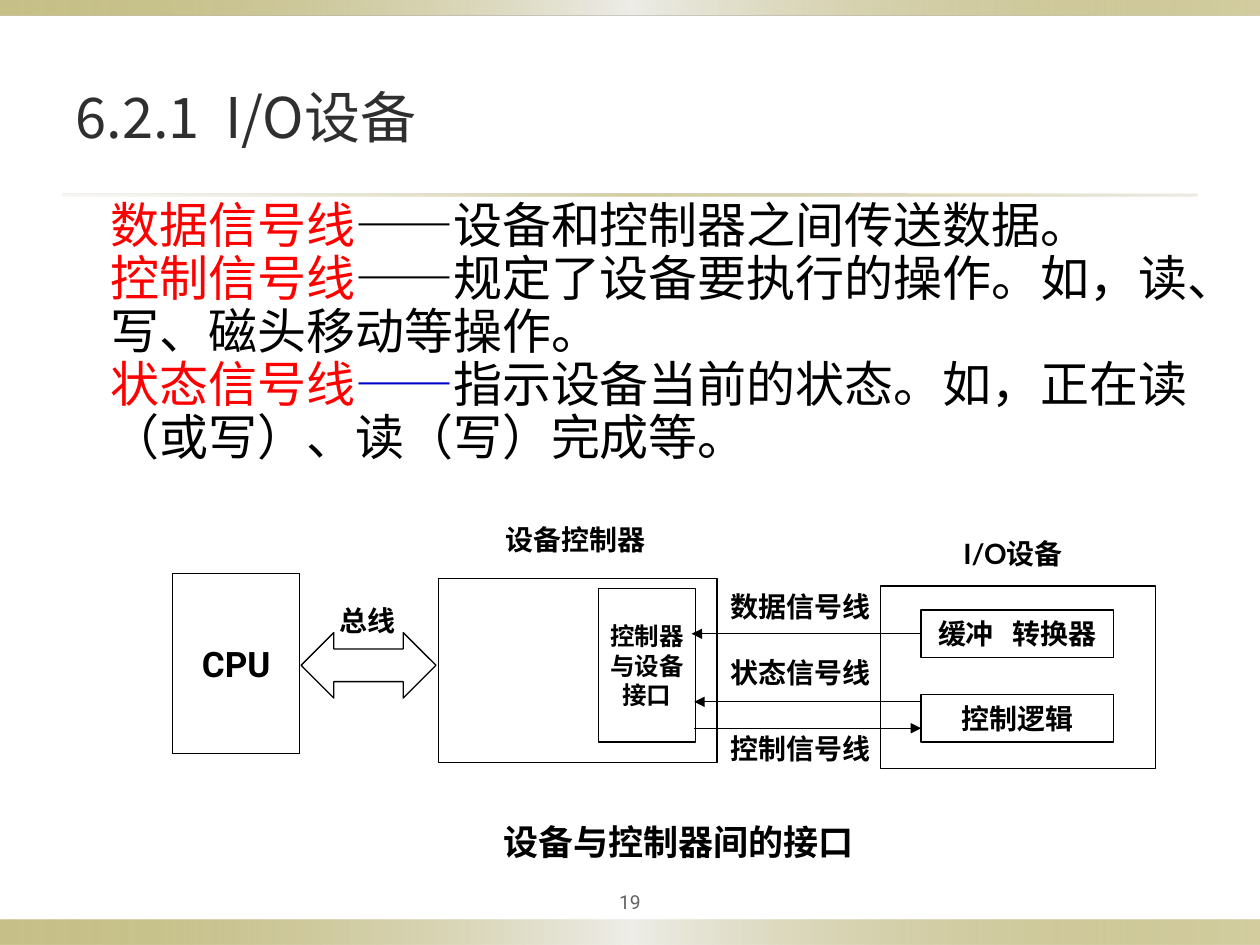
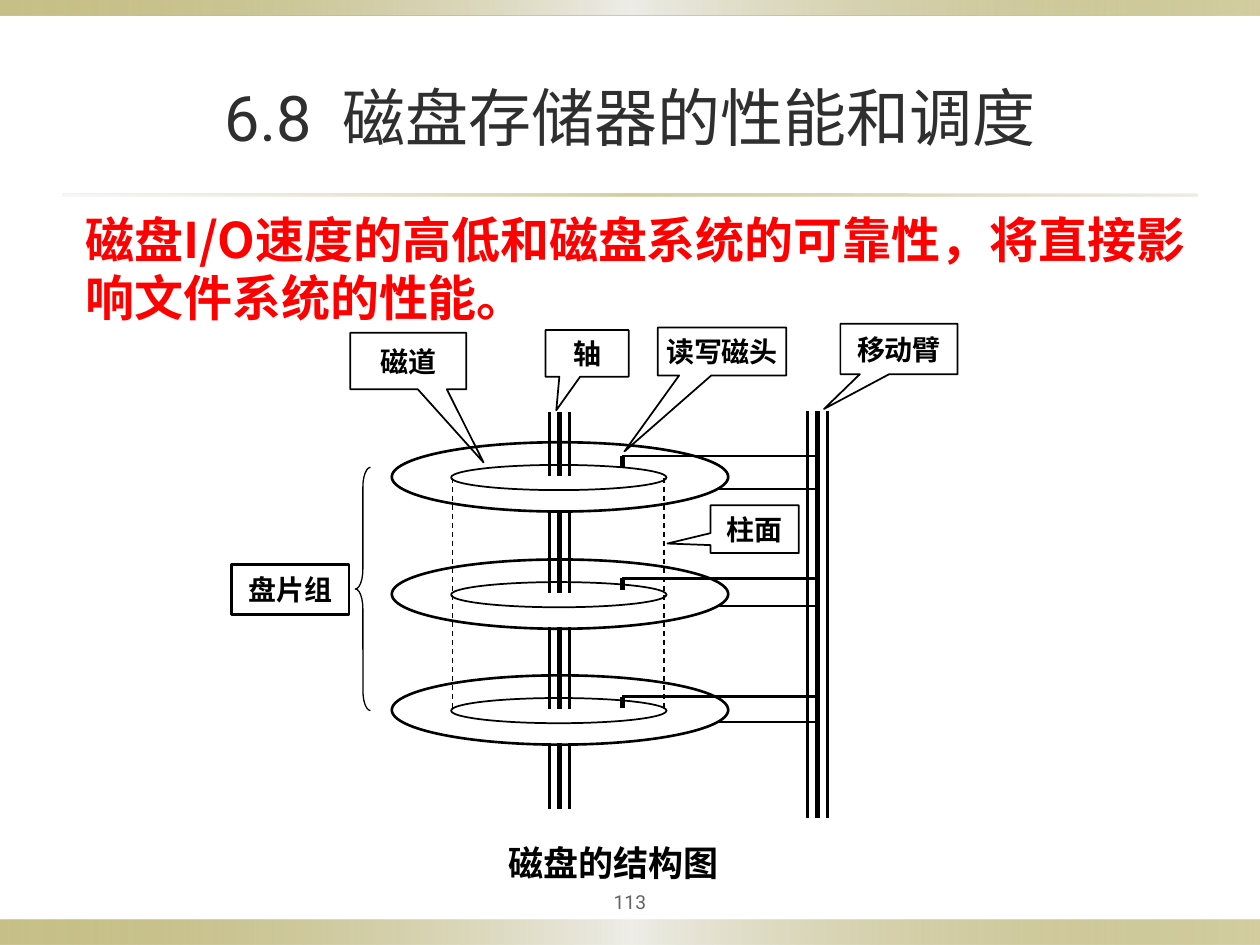
from lxml.etree import SubElement
from pptx import Presentation
from pptx.dml.color import RGBColor
from pptx.enum.dml import MSO_LINE as Dash
from pptx.enum.shapes import MSO_CONNECTOR as Link, MSO_SHAPE as Kind
from pptx.enum.text import MSO_ANCHOR as Anchor, PP_ALIGN as Align
from pptx.oxml import parse_xml
from pptx.oxml.ns import nsdecls, qn
from pptx.util import Pt

PX = 9144  # 100 px to the inch
BLACK = RGBColor(0x00, 0x00, 0x00)
WHITE = RGBColor(0xFF, 0xFF, 0xFF)
RED = RGBColor(0xFF, 0x00, 0x00)
BLUE = RGBColor(0x00, 0x00, 0xCC)
INK = RGBColor(0x2F, 0x2F, 0x2F)
GRAY = RGBColor(0x63, 0x63, 0x63)
GOLD = RGBColor(0x91, 0x84, 0x15)
PALE = RGBColor(0xEE, 0xED, 0xE8)
SAND = RGBColor(0xDC, 0xD9, 0xCC)
HAN, SANS, LABEL, SERIF = "Noto Sans CJK SC", "Roboto", "Lato", "Times New Roman"
BAND = ((0, GOLD, 50), (50, PALE, 100), (100, GOLD, 40))
RULE = ((0, SAND, 20), (50, GOLD, 40), (100, SAND, 50))


def emu(*sizes):
    return [round(size * PX) for size in sizes]


def set_han(props):
    """Give text properties the East Asian typeface."""
    SubElement(props, qn("a:ea")).set("typeface", HAN)


def style(para, size, face=SANS, color=BLACK, bold=False, align=Align.CENTER):
    para.alignment = align
    font = para.font
    font.size, font.name, font.bold = Pt(size), face, bold
    font.color.rgb = color
    set_han(para._p.get_or_add_pPr().find(qn("a:defRPr")))


def inset(frame, side, top):
    frame.margin_left = frame.margin_right = side * PX
    frame.margin_top = frame.margin_bottom = top * PX


class Pane:
    """A region of a slide; its parts are placed from its top left corner."""

    def __init__(self, slide, box):
        self.shapes = slide.shapes
        self.left, self.top, self.width, self.height = box

    def spot(self, x, y):
        return emu(self.left + x, self.top + y)

    def shape(self, box, text="", size=16, kind=Kind.RECTANGLE, adj=(),
              line=0.75, fill=None):
        x, y, w, h = box
        item = self.shapes.add_shape(kind, *self.spot(x, y), *emu(w, h))
        item.shadow.inherit = False
        for i, value in enumerate(adj):
            item.adjustments[i] = value
        if fill is None:
            item.fill.background()
        else:
            item.fill.solid()
            item.fill.fore_color.rgb = fill
        item.line.color.rgb, item.line.width = BLACK, Pt(line)
        if text:
            frame = item.text_frame
            inset(frame, 2, 1)
            frame.vertical_anchor = Anchor.MIDDLE
            frame.text = text
            style(frame.paragraphs[0], size, bold=True)
        return item

    def frame(self, box):
        x, y, w, h = box
        frame = self.shapes.add_textbox(*self.spot(x, y), *emu(w, h)).text_frame
        frame.word_wrap = True
        return frame

    def label(self, box, text, size=16):
        frame = self.frame(box)
        inset(frame, 2, 1)
        frame.text = text
        style(frame.paragraphs[0], size, LABEL, bold=True)

    def line(self, x1, y1, x2, y2, width=0.75, dash=None, arrow=False):
        item = self.shapes.add_connector(
            Link.STRAIGHT, *self.spot(x1, y1), *self.spot(x2, y2))
        item.line.color.rgb, item.line.width = BLACK, Pt(width)
        if dash:
            item.line.dash_style = dash
        if arrow:
            SubElement(item.line._get_or_add_ln(), qn("a:tailEnd")).set("type", "triangle")
        SubElement(item._element.spPr, qn("a:effectLst"))
        return item


def add_bands(layout, slide):
    """Draw the gradient bands and move them to the layout."""
    pane = Pane(slide, (0, 0, 1000, 750))
    bands = (((0, 730, 1000, 20), BAND), ((0, 0, 1000, 12), BAND),
             ((50, 154, 900, 2), RULE))
    for box, stops in bands:
        item = pane.shape(box)
        item.line.fill.background()
        marks = "".join(
            f'<a:gs pos="{at * 1000}"><a:srgbClr val="{color}">'
            f'<a:alpha val="{alpha * 1000}"/></a:srgbClr></a:gs>'
            for at, color, alpha in stops)
        grad = parse_xml(f'<a:gradFill {nsdecls("a")}><a:gsLst>{marks}</a:gsLst>'
                         '<a:lin ang="0" scaled="0"/></a:gradFill>')
        props = item._element.spPr
        props.replace(props.find(qn("a:noFill")), grad)
        layout.shapes._spTree.append(item._element)


def add_title(slide, text, size, face, align):
    title = slide.shapes.title
    title.left, title.top, title.width, title.height = emu(50, 30, 900, 125)
    title.text_frame.text = text
    title.text_frame.vertical_anchor = Anchor.MIDDLE
    style(title.text_frame.paragraphs[0], size, face, INK, align=align)


def add_number(slide, number):
    frame = Pane(slide, (450, 700, 100, 31)).frame((0, 0, 100, 31))
    inset(frame, 5, 5)
    frame.vertical_anchor = Anchor.MIDDLE
    frame.text = number
    style(frame.paragraphs[0], 11, color=GRAY)


def add_terms(slide, box):
    """List the three signal lines with what each is for."""
    terms = (
        ("数据信号线", BLACK, "设备和控制器之间传送数据。"),
        ("控制信号线", BLACK, "规定了设备要执行的操作。如，读、写、磁头移动等操作。"),
        ("状态信号线", BLUE, "指示设备当前的状态。如，正在读（或写）、读（写）完成等。"),
    )
    frame = Pane(slide, box).frame((0, 0, *box[2:]))
    for i, (term, tint, text) in enumerate(terms):
        para = frame.add_paragraph() if i else frame.paragraphs[0]
        style(para, 28, HAN, align=Align.LEFT)
        para.line_spacing = 0.9
        para._p.get_or_add_pPr().set("marL", str(50 * PX))
        parts = ((term, HAN, RED), ("——", SERIF, tint), (text, HAN, BLACK))
        for words, face, color in parts:
            run = para.add_run()
            run.text = words
            run.font.name, run.font.color.rgb = face, color
            set_han(run._r.get_or_add_rPr())


def add_lead(slide, box):
    frame = Pane(slide, box).frame((0, 0, *box[2:]))
    frame.text = "磁盘I/O速度的高低和磁盘系统的可靠性，将直接影响文件系统的性能。"
    style(frame.paragraphs[0], 28, HAN, RED, True, Align.LEFT)


def add_wiring(slide, box):
    """Draw the CPU, the controller and the device with their lines."""
    pane = Pane(slide, box)
    buffer = pane.shape((594, 70, 153, 38), "缓冲   转换器")
    pane.shape((594, 137, 153, 38), "控制逻辑")
    pane.shape((562, 51, 218, 145))
    pane.shape((338, 53, 77, 122), "控制器与设备接口", 14)
    pane.shape((211, 45, 221, 146))
    pane.shape((0, 41, 101, 143), "CPU", 20)
    pane.shape((102, 88, 107, 52), kind=Kind.LEFT_RIGHT_ARROW, adj=(0.5, 0.5))

    pane.line(594, 89, 412, 89, arrow=True).begin_connect(buffer, 1)
    pane.line(594, 143, 414, 143, arrow=True)
    pane.line(414, 164, 594, 164, arrow=True)

    for y, name in ((53, "数据信号线"), (105, "状态信号线"), (166, "控制信号线")):
        pane.label((432, y, 133, 37), name)
    pane.label((240, 0, 160, 37), "设备控制器")
    pane.label((578, 11, 178, 37), "I/O设备")
    pane.label((122, 64, 66, 37), "总线")
    pane.label((188, 236, 427, 46), "设备与控制器间的接口", 20)


def add_rod(pane, x, top, end):
    """Draw a thick core between two thin edges."""
    for shift, width in ((0, 1.5), (8, 3), (16, 1.5)):
        pane.line(x + shift, top, x + shift, end, width)


def add_disk(slide, box):
    """Draw the platters, spindle, heads and arm with their callouts."""
    pane = Pane(slide, box)
    tops, arms = (94, 187, 279), (105, 202, 296)
    add_rod(pane, 457, 69, 392)
    for top, arm in zip(tops, arms):
        pane.line(320, top + 37, 465, top + 37, 1.5)
        pane.shape((127, top, 267, 55), kind=Kind.OVAL, line=1.5, fill=WHITE)
        pane.shape((174, top + 18, 171, 20), kind=Kind.OVAL, line=1)
        pane.line(310, arm, 465, arm, 1.5)
        pane.line(310, arm, 310, arm + 9, 3)

    starts = [70] + [top + 54 for top in tops]
    ends = [top + 27 for top in tops] + [385]
    for start, end in zip(starts, ends):
        add_rod(pane, 252, start, end)
    for x in (175, 343):
        pane.line(x, 122, x, 307, dash=Dash.DASH)

    pane.shape((98, 114, 12, 193), kind=Kind.LEFT_BRACE, adj=(1.31, 0.5))
    pane.shape((0, 191, 93, 40), "盘片组", line=1.5)
    notes = (
        ("磁道", (94, 7, 92, 45), (0.65, 1.79)),
        ("轴", (249, 5, 66, 37), (-0.37, 1.22)),
        ("读写磁头", (338, 3, 102, 38), (-0.76, 2.09)),
        ("移动臂", (483, 0, 93, 40), (-0.64, 1.19)),
        ("柱面", (380, 144, 70, 38), (-0.99, 0.3)),
    )
    for name, place, tip in notes:
        pane.shape(place, name, kind=Kind.RECTANGULAR_CALLOUT, adj=tip, line=1)
    pane.label((164, 410, 278, 36), "磁盘的结构图", 20)


def main():
    deck = Presentation()
    deck.slide_width, deck.slide_height = emu(1000, 750)
    layout = deck.slide_layouts[5]

    device = deck.slides.add_slide(layout)
    add_bands(layout, device)
    add_title(device, "6.2.1  I/O设备", 32, HAN, Align.LEFT)
    add_terms(device, (28, 155, 948, 234))
    add_number(device, "19")
    add_wiring(device, (137, 414, 780, 282))

    disk = deck.slides.add_slide(layout)
    add_title(disk, "6.8  磁盘存储器的性能和调度", 36, SANS, Align.CENTER)
    add_lead(disk, (58, 161, 928, 95))
    add_number(disk, "113")
    add_disk(disk, (184, 257, 576, 446))

    deck.save("out.pptx")


if __name__ == "__main__":
    main()
